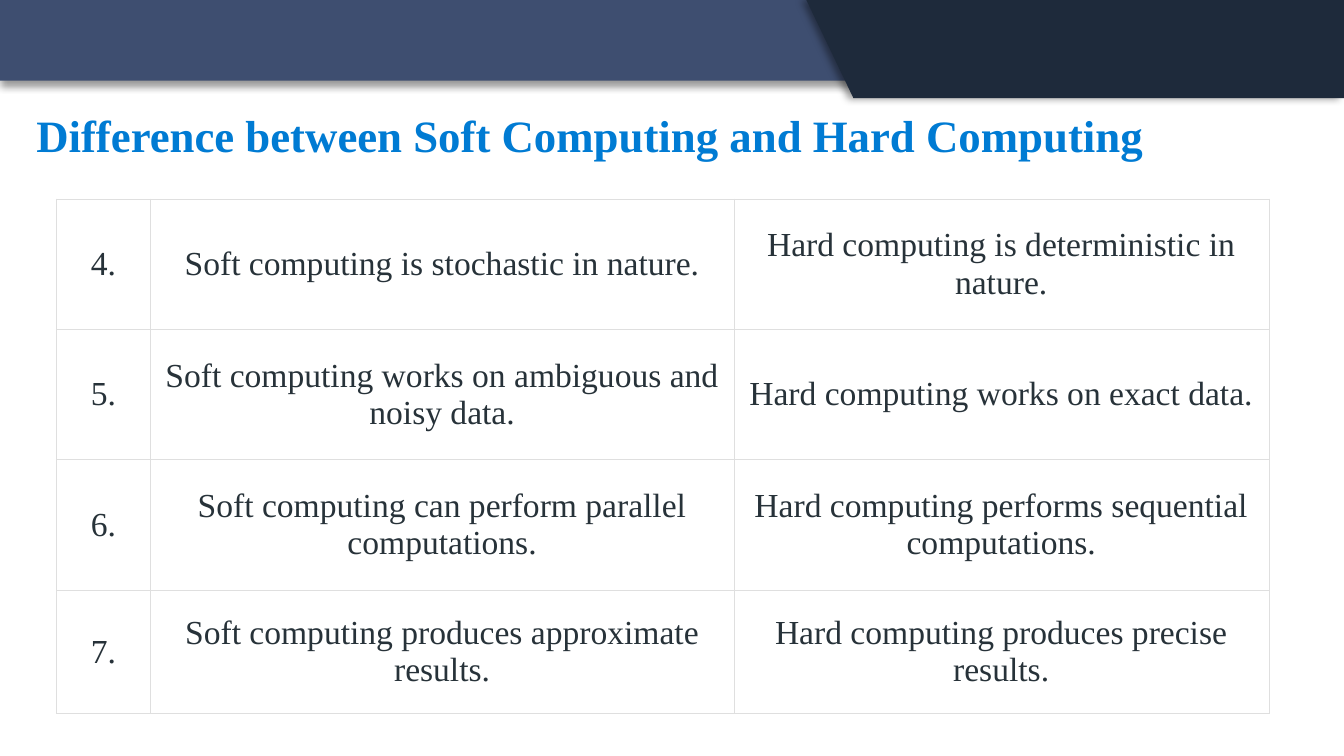
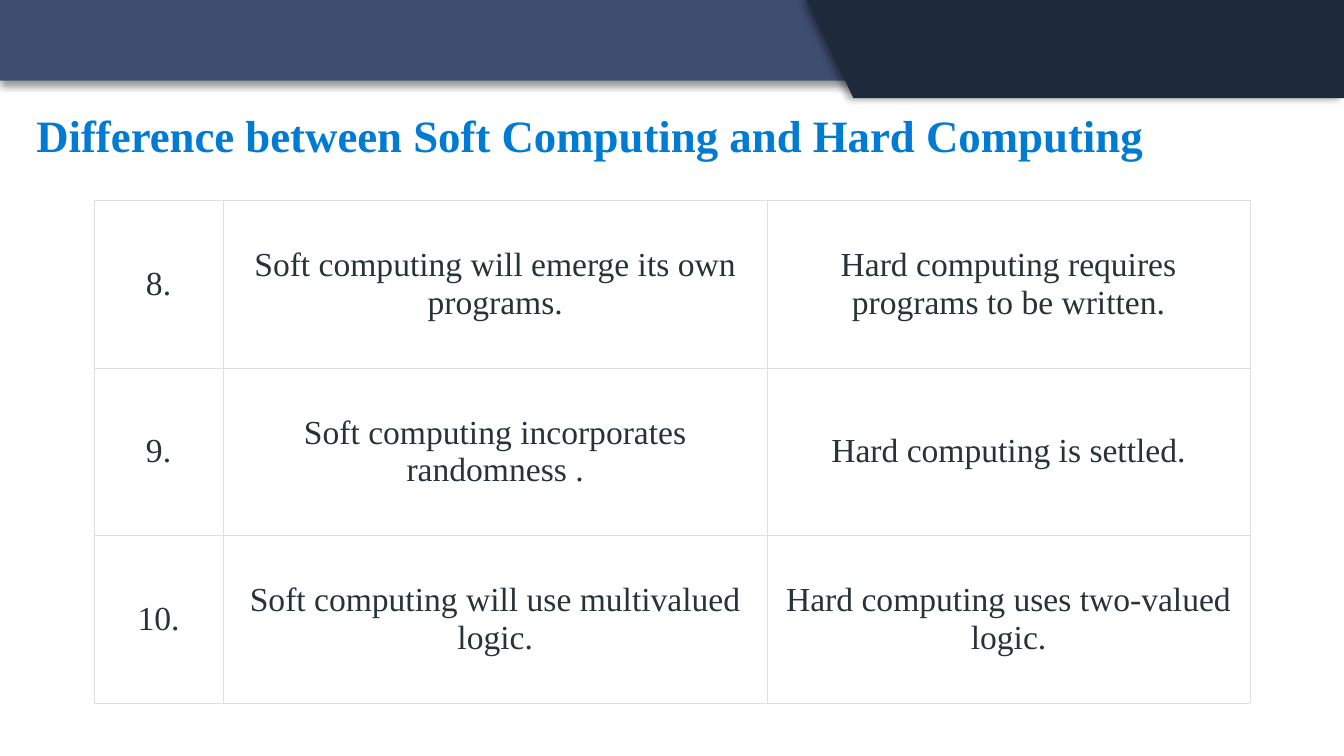
from dataclasses import dataclass

from lxml import etree
from pptx import Presentation
from pptx.dml.color import RGBColor
from pptx.enum.shapes import MSO_SHAPE
from pptx.enum.text import MSO_ANCHOR, MSO_AUTO_SIZE, PP_ALIGN
from pptx.oxml.ns import qn
from pptx.util import Inches, Pt

RECTANGLE = MSO_SHAPE.RECTANGLE
MIDDLE = MSO_ANCHOR.MIDDLE
NO_AUTOFIT = MSO_AUTO_SIZE.NONE
LEFT, CENTER = PP_ALIGN.LEFT, PP_ALIGN.CENTER
TITLE_ONLY = 5


@dataclass(frozen=True)
class Theme:
    font: str = "Times New Roman"
    title_size: int = 24
    cell_size: int = 18
    band: str = "3E4E70"
    corner: str = "1E2A3B"
    shadow: str = "000000"
    title_stops: tuple = ("007BD3", "034373")
    cell_text: str = "273239"
    border: str = "DFDFDF"
    border_width: float = 0.2


THEME = Theme()
SLIDE_WIDTH = 10
SLIDE_HEIGHT = SLIDE_WIDTH * 9 / 16
BAND_BOX = (0, 0, SLIDE_WIDTH, 0.6)
CORNER_BOX = (6, 0, 4, 0.73)
CORNER_SLANT = 0.35
TITLE_BOX = (0.17, 0.71, 9, 0.59)
TITLE = "Difference between Soft Computing and Hard Computing"

CELL_FORMAT = {
    "vertical_anchor": MIDDLE,
    "margin_left": Inches(0.08),
    "margin_right": Inches(0.08),
    "margin_top": Inches(0.12),
    "margin_bottom": Inches(0.12),
}
TITLE_FORMAT = {"vertical_anchor": MIDDLE, "word_wrap": True, "auto_size": NO_AUTOFIT}
TITLE_FONT = {"name": THEME.font, "size": Pt(THEME.title_size), "bold": True}
CELL_FONT = {"name": THEME.font, "size": Pt(THEME.cell_size)}
TABLE_FORMAT = {"first_row": False, "horz_banding": False}

COMPARISONS = [
    {
        "origin": (0.42, 1.48),
        "widths": (0.7, 4.34, 3.98),
        "heights": (0.97, 0.97, 0.97, 0.92),
        "first_number": 4,
        "pairs": [
            ("Soft computing is stochastic in nature.",
             "Hard computing is deterministic in nature."),
            ("Soft computing works on ambiguous and noisy data.",
             "Hard computing works on exact data."),
            ("Soft computing can perform parallel computations.",
             "Hard computing performs sequential computations."),
            ("Soft computing produces approximate results.",
             "Hard computing produces precise results."),
        ],
    },
    {
        "origin": (0.7, 1.49),
        "widths": (0.96, 4.05, 3.59),
        "heights": (3.74 / 3,) * 3,
        "first_number": 8,
        "pairs": [
            ("Soft computing will emerge its own programs.",
             "Hard computing requires programs to be written."),
            ("Soft computing incorporates randomness .",
             "Hard computing is settled."),
            ("Soft computing will use multivalued logic.",
             "Hard computing uses two-valued logic."),
        ],
    },
]


def apply(target, values):
    for attribute, value in values.items():
        setattr(target, attribute, value)


def inches(values):
    return [Inches(value) for value in values]


def style_band(band, color, shadow_angle):
    band.fill.solid()
    band.fill.fore_color.rgb = RGBColor.from_string(color)
    band.line.fill.background()
    band.shadow.inherit = False
    effects = band.element.spPr.find(qn("a:effectLst"))
    shadow = etree.SubElement(
        effects, qn("a:outerShdw"), blurRad=str(Pt(4)), dist=str(Pt(3)),
        dir=str(shadow_angle * 60000), algn="t", rotWithShape="0")
    tint = etree.SubElement(shadow, qn("a:srgbClr"), val=THEME.shadow)
    etree.SubElement(tint, qn("a:alpha"), val="40000")


# Header: wide band and slanted corner, kept on the layout
def add_header(layout, slide):
    band = slide.shapes.add_shape(RECTANGLE, *inches(BAND_BOX))
    style_band(band, THEME.band, 90)

    left, top, width, height = CORNER_BOX
    right, bottom = left + width, top + height
    outline = slide.shapes.build_freeform(Inches(left), Inches(top))
    outline.add_line_segments([
        inches(point) for point in
        ((right, top), (right, bottom), (left + CORNER_SLANT, bottom))])
    corner = outline.convert_to_shape()
    style_band(corner, THEME.corner, 180)

    for shape_id, part in enumerate((band, corner), start=20):
        part.element.nvSpPr.cNvPr.set("id", str(shape_id))
        layout.shapes.element.append(part.element)


# Title
def add_title(slide, box):
    title = slide.shapes.title
    apply(title, dict(zip(("left", "top", "width", "height"), inches(box))))
    frame = title.text_frame
    apply(frame, TITLE_FORMAT)
    paragraph = frame.paragraphs[0]
    paragraph.alignment = LEFT
    run = paragraph.add_run()
    run.text = TITLE
    apply(run.font, TITLE_FONT)
    run.font.fill.gradient()
    run.font.fill.gradient_angle = 0
    for stop, color in zip(run.font.fill.gradient_stops, THEME.title_stops):
        stop.color.rgb = RGBColor.from_string(color)


# Table cell: borders come before the fill in its properties
def fill_cell(cell, text):
    apply(cell, CELL_FORMAT)
    properties = cell._tc.get_or_add_tcPr()
    for side in ("a:lnL", "a:lnR", "a:lnT", "a:lnB"):
        border = etree.SubElement(properties, qn(side), w=str(Pt(THEME.border_width)))
        paint = etree.SubElement(border, qn("a:solidFill"))
        etree.SubElement(paint, qn("a:srgbClr"), val=THEME.border)
    cell.fill.background()
    paragraph = cell.text_frame.paragraphs[0]
    paragraph.alignment = CENTER
    run = paragraph.add_run()
    run.text = text
    apply(run.font, CELL_FONT)
    run.font.color.rgb = RGBColor.from_string(THEME.cell_text)


# Comparison table: number, soft computing, hard computing
def add_comparison(slide, origin, widths, heights, first_number, pairs):
    table = slide.shapes.add_table(
        len(heights), len(widths), *inches((*origin, sum(widths), sum(heights)))).table
    apply(table, TABLE_FORMAT)
    for column, width in zip(table.columns, widths):
        column.width = Inches(width)
    for row, height in zip(table.rows, heights):
        row.height = Inches(height)
    for row, (number, pair) in zip(table.rows, enumerate(pairs, first_number)):
        for cell, text in zip(row.cells, (f"{number}.", *pair)):
            fill_cell(cell, text)


def main():
    deck = Presentation()
    deck.slide_width, deck.slide_height = inches((SLIDE_WIDTH, SLIDE_HEIGHT))
    layout = deck.slide_layouts[TITLE_ONLY]
    for index, comparison in enumerate(COMPARISONS):
        slide = deck.slides.add_slide(layout)
        if index == 0:
            add_header(layout, slide)
        add_title(slide, TITLE_BOX)
        add_comparison(slide, **comparison)
    deck.save("out.pptx")


if __name__ == "__main__":
    main()
